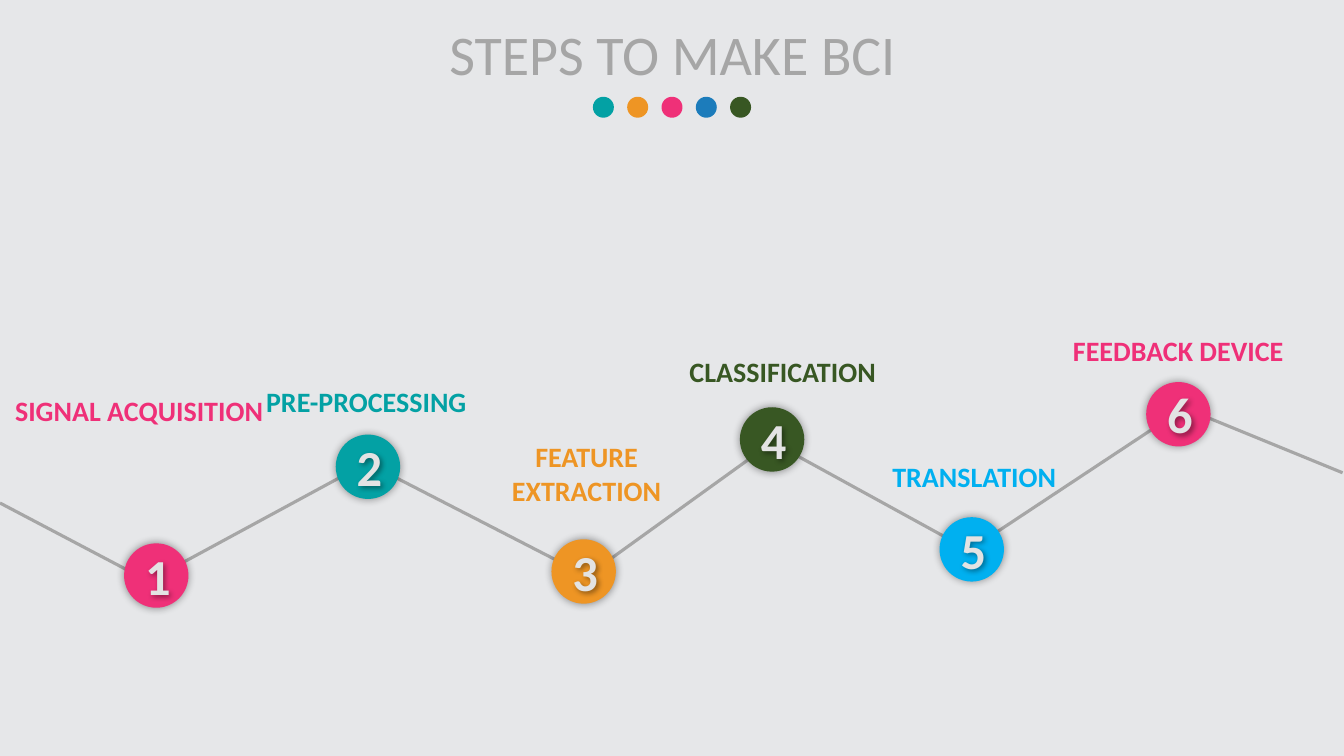
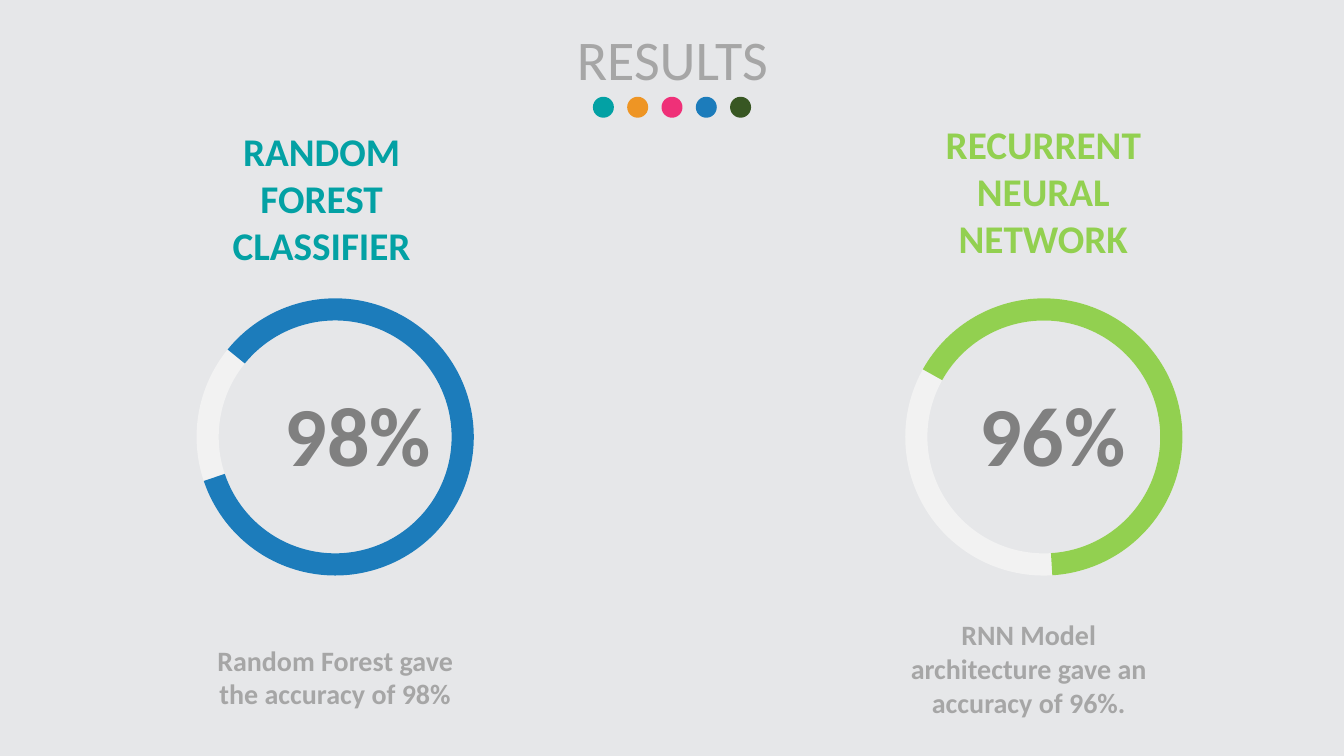
from lxml.etree import SubElement
from pptx import Presentation
from pptx.dml.color import RGBColor
from pptx.enum.shapes import MSO_CONNECTOR, MSO_SHAPE
from pptx.enum.text import MSO_AUTO_SIZE, PP_ALIGN
from pptx.oxml.ns import qn
from pptx.util import Pt

# Shared look
FONT = "Calibri"
BACKGROUND = RGBColor(0xE6, 0xE7, 0xE9)
GRAY = RGBColor(0xA6, 0xA6, 0xA6)
DARK_GRAY = RGBColor(0x80, 0x80, 0x80)
PALE_GRAY = RGBColor(0xE3, 0xE3, 0xE3)
TRACK = RGBColor(0xF2, 0xF2, 0xF2)
TEAL = RGBColor(0x03, 0xA1, 0xA4)
ORANGE = RGBColor(0xEE, 0x95, 0x24)
PINK = RGBColor(0xEF, 0x30, 0x78)
BLUE = RGBColor(0x1C, 0x7C, 0xBB)
GREEN = RGBColor(0x38, 0x57, 0x23)
SKY = RGBColor(0x00, 0xB0, 0xF0)
LIME = RGBColor(0x92, 0xD0, 0x50)

SLIDE_W, SLIDE_H = 960, 540
DOT_COLORS = (TEAL, ORANGE, PINK, BLUE, GREEN)
DOT_SIZE, DOT_STEP, DOT_TOP = 15, 24.5, 69.1
MARKER_SIZE = 46
DIGIT_W, DIGIT_H = 30.2, 51
RING_SIZE, RING_TOP = 198, 213.1
RING_THICKNESS = 0.08

# Steps: label, colour, marker centre, label box (left, top, width, height)
STEPS = (
    ("SIGNAL ACQUISITION", PINK, (111.6, 411.1), (2.2, 277.2, 194.4, 55.4)),
    ("PRE-PROCESSING", TEAL, (262.8, 333.4), (177.8, 271.4, 167.8, 31.7)),
    ("FEATURE EXTRACTION", ORANGE, (416.9, 408.2), (331.9, 310.3, 174.2, 92.9)),
    ("CLASSIFICATION", GREEN, (551.5, 313.9), (475.2, 249.8, 167.8, 31.7)),
    ("TRANSLATION", SKY, (694.1, 392.4), (612, 324.7, 167.8, 31.7)),
    ("FEEDBACK DEVICE", PINK, (841.7, 295.9), (753.1, 234.7, 177.1, 84.2)),
)

# Path segments between the step markers, left to right
PATH_SEGMENTS = (
    ((0, 359.3), (106.6, 415.4)),
    ((117.4, 409), (257, 333.4)),
    ((280.1, 339.8), (414.7, 409)),
    ((422.6, 409), (546.5, 319.7)),
    ((549.4, 314.6), (691.2, 392.4)),
    ((704.2, 385.2), (835.9, 298.1)),
    ((856.8, 295.9), (959, 337.7)),
)


def add_text(slide, text, box, size=20, color=GRAY, bold=True):
    """Add centred text in a box given as left, top, width, height."""
    text_box = slide.shapes.add_textbox(*(Pt(length) for length in box))
    frame = text_box.text_frame
    frame.word_wrap = True
    frame.auto_size = MSO_AUTO_SIZE.SHAPE_TO_FIT_TEXT
    paragraph = frame.paragraphs[0]
    paragraph.alignment = PP_ALIGN.CENTER
    run = paragraph.add_run()
    run.text = text
    run.font.name = FONT
    run.font.size = Pt(size)
    run.font.bold = bold
    run.font.color.rgb = color
    return text_box


def add_solid(shapes, kind, left, top, size, color):
    """Add a square-framed preset shape with a plain fill and no line."""
    solid = shapes.add_shape(kind, Pt(left), Pt(top), Pt(size), Pt(size))
    solid.fill.solid()
    solid.fill.fore_color.rgb = color
    solid.line.fill.background()
    solid.shadow.inherit = False
    return solid


def add_shadow(shape, blur, distance=0, angle=0):
    """Give a shape a soft black shadow of 40 % opacity."""
    shape.shadow.inherit = False
    effects = shape.element.spPr.find(qn("a:effectLst"))
    shadow = SubElement(effects, qn("a:outerShdw"), blurRad=str(Pt(blur)),
                        dist=str(Pt(distance)), dir=str(angle * 60000),
                        algn="ctr", rotWithShape="0")
    black = SubElement(shadow, qn("a:srgbClr"), val="000000")
    SubElement(black, qn("a:alpha"), val="40000")


def add_path_segment(slide, start, end):
    segment = slide.shapes.add_connector(
        MSO_CONNECTOR.STRAIGHT, *(Pt(length) for length in start + end))
    segment.line.color.rgb = GRAY
    segment.line.width = Pt(2.25)
    SubElement(segment.element.spPr, qn("a:effectLst"))


def add_marker(slide, number, center, color):
    x, y = center
    marker = add_solid(slide.shapes, MSO_SHAPE.OVAL, x - MARKER_SIZE / 2,
                       y - MARKER_SIZE / 2, MARKER_SIZE, color)
    add_shadow(marker, blur=6)
    digit_box = (x - DIGIT_W / 2, y - DIGIT_H / 2, DIGIT_W, DIGIT_H)
    digit = add_text(slide, str(number), digit_box, size=36, color=PALE_GRAY)
    add_shadow(digit, blur=4, distance=2, angle=45)


def add_ring(slide, left, color, start, end, rotation):
    """Add a pale ring with a coloured arc; angles are in degrees."""
    ring = slide.shapes.add_group_shape().shapes
    track = add_solid(ring, MSO_SHAPE.DONUT, left, RING_TOP, RING_SIZE, TRACK)
    track.adjustments[0] = RING_THICKNESS
    arc = add_solid(ring, MSO_SHAPE.BLOCK_ARC, left, RING_TOP, RING_SIZE, color)
    # Angles are stored in 60000ths, adjustments in 100000ths
    arc.adjustments[0] = start * 0.6
    arc.adjustments[1] = end * 0.6
    arc.adjustments[2] = RING_THICKNESS
    arc.rotation = rotation


def add_titled_slide(deck, title, title_top):
    """Start a slide with background, title and the row of dots."""
    slide = deck.slides.add_slide(deck.slide_layouts[6])
    slide.background.fill.solid()
    slide.background.fill.fore_color.rgb = BACKGROUND
    add_text(slide, title, (193.7, title_top, 573.1, 55.4), size=40, bold=False)
    dots = slide.shapes.add_group_shape().shapes
    row_width = DOT_STEP * (len(DOT_COLORS) - 1) + DOT_SIZE
    first_left = (SLIDE_W - row_width) / 2
    for index, color in enumerate(DOT_COLORS):
        add_solid(dots, MSO_SHAPE.OVAL, first_left + index * DOT_STEP,
                  DOT_TOP, DOT_SIZE, color)
    return slide


def build_steps(deck):
    slide = add_titled_slide(deck, "STEPS TO MAKE BCI", 10.1)
    for start, end in PATH_SEGMENTS:
        add_path_segment(slide, start, end)
    for number, (label, color, center, label_box) in enumerate(STEPS, 1):
        add_marker(slide, number, center, color)
        add_text(slide, label, label_box, color=color)


def build_results(deck):
    slide = add_titled_slide(deck, "RESULTS", 13.7)

    # Random forest
    add_ring(slide, 140.4, BLUE, start=159.09, end=101.48, rotation=60)
    add_text(slide, "RANDOM FOREST CLASSIFIER", (147.6, 87.1, 164.2, 108.7),
             size=28, color=TEAL)
    add_text(slide, "98%", (173.5, 270, 164.2, 79.9), size=60, color=DARK_GRAY)
    add_text(slide, "Random Forest gave the accuracy of 98%",
             (140.4, 455.8, 198, 55.4))

    # Recurrent neural network
    add_ring(slide, 646.6, LIME, start=224.2, end=101.48, rotation=345)
    add_text(slide, "RECURRENT NEURAL NETWORK", (663.1, 82.1, 164.2, 108.7),
             size=28, color=LIME)
    add_text(slide, "96%", (669.6, 270, 164.2, 79.9), size=60, color=DARK_GRAY)
    add_text(slide, "RNN Model architecture gave an accuracy of 96%.",
             (635.8, 437.8, 198, 79.9))


def main():
    deck = Presentation()
    deck.slide_width, deck.slide_height = Pt(SLIDE_W), Pt(SLIDE_H)
    build_steps(deck)
    build_results(deck)
    deck.save("out.pptx")


if __name__ == "__main__":
    main()
